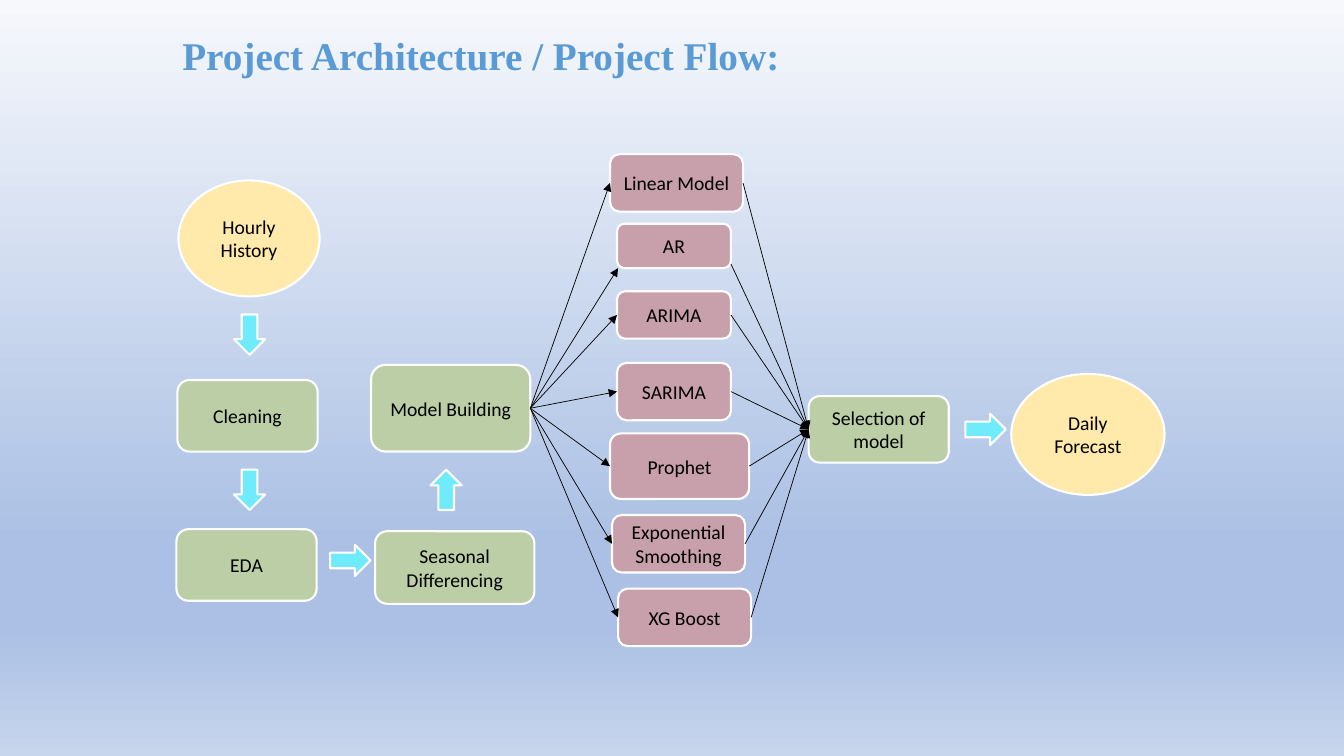
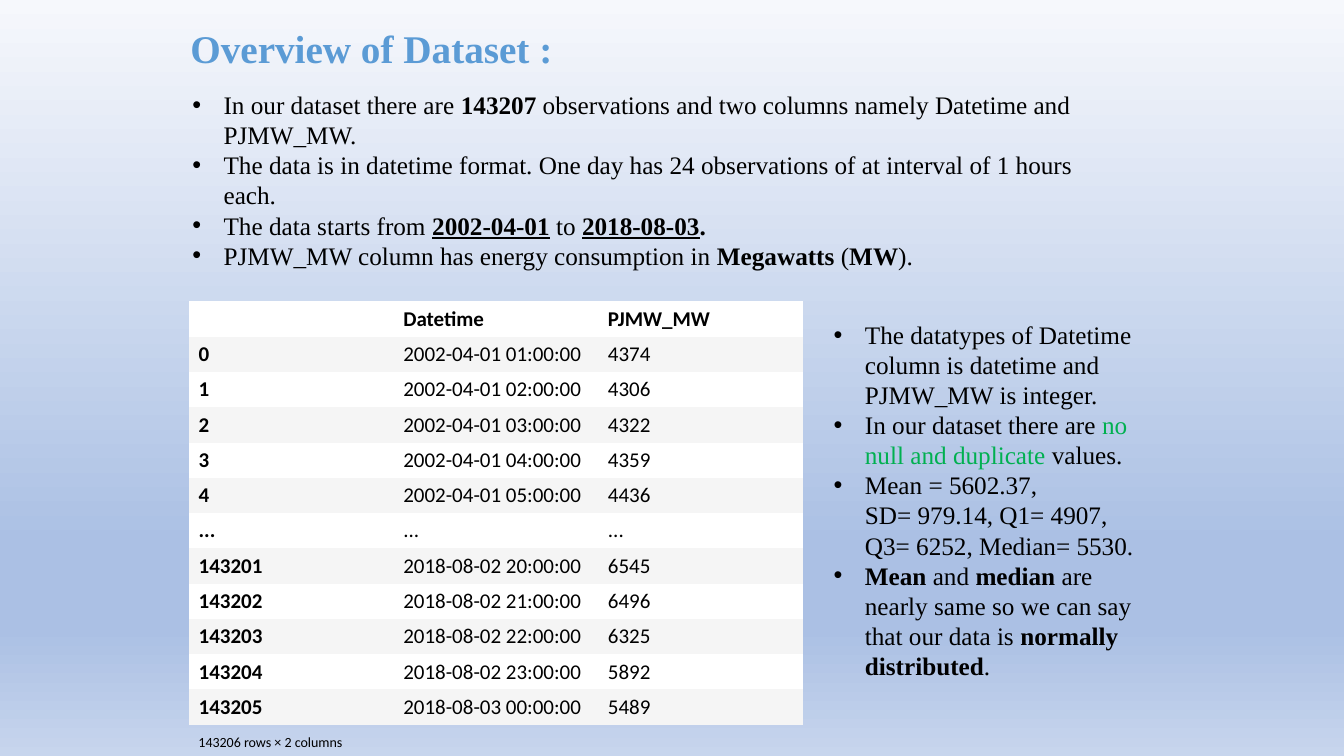
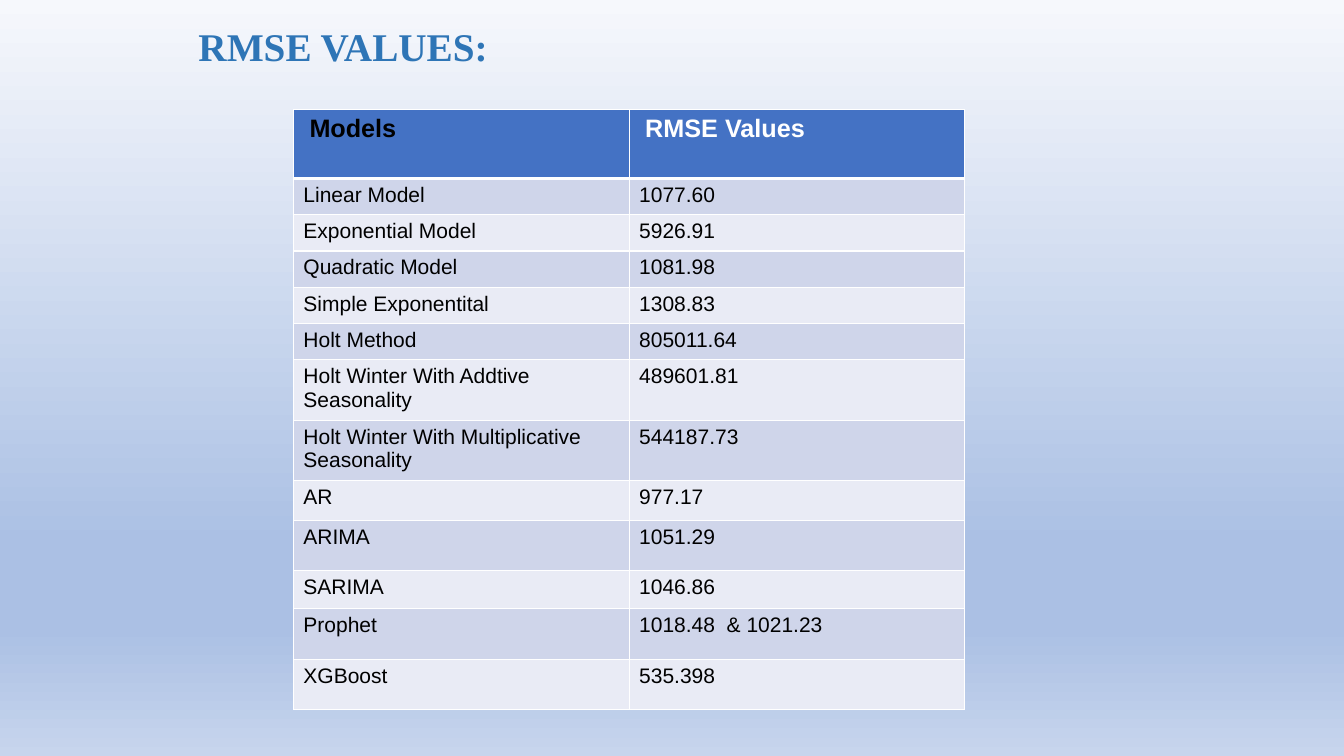
from lxml.etree import SubElement
from pptx import Presentation
from pptx.dml.color import RGBColor
from pptx.enum.shapes import MSO_CONNECTOR, MSO_SHAPE
from pptx.enum.text import MSO_ANCHOR, PP_ALIGN
from pptx.oxml.ns import qn
from pptx.util import Emu, Pt

PX = 9144
SLIDE_SIZE = (1333, 750)
COLORS = {
    "title": "5B9BD5", "title_dark": "2E75B6", "black": "000000", "white": "FFFFFF",
    "green_text": "00B050", "data": "FFE9AB", "step": "BCCEA6", "model": "C8A0AB",
    "arrow": "70EBFC", "stripe": "F5F5F5", "header": "4472C4",
    "band_dark": "CFD5EA", "band_light": "E9EBF5",
}
BACKGROUND_STOPS = [(0, "F6F8FC"), (72, "ABC0E4"), (83, "ABC0E4"), (100, "C7D5ED")]
NO_GRID_STYLE = "{2D5ABB26-0587-4C30-8999-92F81FD0307C}"

TITLE = {"name": "Times New Roman", "size": Pt(28), "bold": True, "color": "title"}
BODY = {"name": "Times New Roman", "size": Pt(18), "color": "black"}
NODE = {"name": "Calibri", "size": Pt(14), "color": "black"}
DATA_CELL = {"name": "Calibri", "size": Pt(15), "color": "black"}
NOTE = {"name": "Calibri", "size": Pt(10), "color": "black"}
SCORE_CELL = {"name": "Arial", "size": Pt(15), "color": "black"}
SCORE_HEADER = {"name": "Arial", "size": Pt(18), "bold": True}
EMPHASIS = {
    "plain": {}, "bold": {"bold": True}, "date": {"bold": True, "underline": True},
    "green": {"color": "green_text"},
}

STEPS = {
    "history": (["Hourly", "History"], "data", (177, 179, 140, 115)),
    "cleaning": (["Cleaning"], "step", (176, 377, 139, 71)),
    "eda": (["EDA"], "step", (175, 525, 139, 71)),
    "differencing": (["Seasonal", "Differencing"], "step", (372, 527, 158, 72)),
    "building": (["Model Building"], "step", (368, 362, 158, 86)),
    "selection": (["Selection of model"], "step", (802, 393, 139, 66)),
    "forecast": (["Daily", "Forecast"], "data", (1003, 371, 152, 120)),
}
MODELS = [
    ("Linear Model", (605, 153, 132, 57)),
    ("AR", (612, 222, 113, 44)),
    ("ARIMA", (612, 289, 113, 47)),
    ("SARIMA", (612, 360, 113, 57)),
    ("Prophet", (605, 430, 138, 65)),
    ("Exponential Smoothing", (607, 511, 132, 57)),
    ("XG Boost", (613, 584, 132, 57)),
]
CORNER_LINKS = {"AR": ((613, 266), (725, 262))}
FLOW_ARROWS = [(232, 312, 0), (232, 466, 0), (332, 536, 270), (427, 466, 180), (962, 406, 270)]
ARROW_SIZE = (31, 40)

DATASET_POINTS = [
    ("•", [("In our dataset there are ", "plain"), ("143207", "bold"),
           (" observations and two columns namely Datetime and PJMW_MW.", "plain")]),
    ("•", [("The data is in datetime format. One day has 24 observations of at interval "
            "of 1 hours each.", "plain")]),
    ("•", [("The data starts from ", "plain"), ("2002-04-01", "date"), (" to ", "plain"),
           ("2018-08-03", "date"), (".", "bold")]),
    ("•", [("PJMW_MW column has energy consumption in ", "plain"), ("Megawatts", "bold"),
           (" (", "plain"), ("MW", "bold"), (").", "plain")]),
]
FINDINGS = [
    ("•", [("The datatypes of Datetime column is datetime and PJMW_MW is integer.", "plain")]),
    ("•", [("In our dataset there are ", "plain"), ("no null and duplicate", "green"),
           (" values.", "plain")]),
    ("•", [("Mean = 5602.37,", "plain")]),
    (None, [("SD= 979.14, Q1= 4907,", "plain")]),
    (None, [("Q3= 6252, Median= 5530.", "plain")]),
    ("•", [("Mean", "bold"), (" and ", "plain"), ("median", "bold"),
           (" are nearly same so we can say that our data is ", "plain"),
           ("normally distributed", "bold"), (".", "plain")]),
]
OBSERVATIONS = [
    ("", "Datetime", "PJMW_MW"),
    ("0", "2002-04-01 01:00:00", "4374"),
    ("1", "2002-04-01 02:00:00", "4306"),
    ("2", "2002-04-01 03:00:00", "4322"),
    ("3", "2002-04-01 04:00:00", "4359"),
    ("4", "2002-04-01 05:00:00", "4436"),
    ("...", "...", "..."),
    ("143201", "2018-08-02 20:00:00", "6545"),
    ("143202", "2018-08-02 21:00:00", "6496"),
    ("143203", "2018-08-02 22:00:00", "6325"),
    ("143204", "2018-08-02 23:00:00", "5892"),
    ("143205", "2018-08-03 00:00:00", "5489"),
]
SCORES = [
    ("Models", "RMSE Values", 68),
    ("Linear Model", "1077.60", 36),
    ("Exponential Model", "5926.91", 36),
    ("Quadratic Model", "1081.98", 36),
    ("Simple Exponentital", "1308.83", 36),
    ("Holt Method", "805011.64", 36),
    ("Holt Winter With Addtive Seasonality", "489601.81", 60),
    ("Holt Winter With Multiplicative Seasonality", "544187.73", 60),
    ("AR", "977.17", 39),
    ("ARIMA", "1051.29", 50),
    ("SARIMA", "1046.86", 38),
    ("Prophet", "1018.48  & 1021.23", 50),
    ("XGBoost", "535.398", 50),
]


def emu(*lengths):
    """Turn px lengths into EMU."""
    return [Emu(length * PX) for length in lengths]


def rgb(name):
    """Look up a named colour."""
    return RGBColor.from_string(COLORS[name])


def set_values(target, values):
    """Set every attribute named in a dict."""
    for name, value in values.items():
        setattr(target, name, value)


def add_run(paragraph, text, style):
    """Add a formatted run to a paragraph."""
    run = paragraph.add_run()
    run.text = text
    set_values(run.font, {key: value for key, value in style.items() if key != "color"})
    run.font.color.rgb = rgb(style["color"])


def write_lines(frame, lines, style, alignment=PP_ALIGN.LEFT):
    """Write each line as one paragraph."""
    for index, line in enumerate(lines):
        paragraph = frame.add_paragraph() if index else frame.paragraphs[0]
        paragraph.alignment = alignment
        if line:
            add_run(paragraph, line, style)
        else:
            paragraph._p.get_or_add_endParaRPr().set("sz", str(int(style["size"].pt * 100)))


def add_text(slide, box, lines, style, **frame_values):
    """Add a text box holding plain lines."""
    frame = slide.shapes.add_textbox(*emu(*box)).text_frame
    set_values(frame, {"word_wrap": True, **frame_values})
    write_lines(frame, lines, style)


def add_points(slide, box, points):
    """Add a text box of bulleted and continued paragraphs."""
    frame = slide.shapes.add_textbox(*emu(*box)).text_frame
    frame.word_wrap = True
    for index, (bullet, runs) in enumerate(points):
        paragraph = frame.add_paragraph() if index else frame.paragraphs[0]
        properties = paragraph._p.get_or_add_pPr()
        properties.set("marL", str(31 * PX))
        properties.set("indent", str(-31 * PX if bullet else 0))
        if bullet:
            color = SubElement(properties, qn("a:buClr"))
            SubElement(color, qn("a:srgbClr"), val=COLORS["black"])
            SubElement(properties, qn("a:buFont"), typeface="Arial")
            SubElement(properties, qn("a:buChar"), char=bullet)
        paragraph.line_spacing = Pt(21.5)
        for text, emphasis in runs:
            add_run(paragraph, text, {**BODY, **EMPHASIS[emphasis]})


def add_figure(slide, preset, box, fill):
    """Add a filled shape with a white outline."""
    shape = slide.shapes.add_shape(preset, *emu(*box))
    shape.shadow.inherit = False
    shape.fill.solid()
    shape.fill.fore_color.rgb = rgb(fill)
    shape.line.color.rgb = rgb("white")
    shape.line.width = Pt(1.5)
    return shape


def add_node(slide, lines, fill, box):
    """Add a labelled node of the flow."""
    preset = MSO_SHAPE.OVAL if fill == "data" else MSO_SHAPE.ROUNDED_RECTANGLE
    shape = add_figure(slide, preset, box, fill)
    set_values(shape.text_frame, {"word_wrap": True, "vertical_anchor": MSO_ANCHOR.MIDDLE})
    write_lines(shape.text_frame, lines, NODE, PP_ALIGN.CENTER)
    return shape


def add_link(slide, start, end, source=None, target=None):
    """Add a thin arrow, joined to the shapes given."""
    connector = slide.shapes.add_connector(MSO_CONNECTOR.STRAIGHT, *emu(*start, *end))
    if source is not None:
        connector.begin_connect(source, 3)
    if target is not None:
        connector.end_connect(target, 1)
    connector.line.color.rgb = rgb("black")
    connector.line.width = Pt(0.5)
    SubElement(connector.line._get_or_add_ln(), qn("a:tailEnd"), type="triangle")
    SubElement(connector._element.spPr, qn("a:effectLst"))


def add_borders(cell, bottom_width):
    """Give a cell white borders."""
    properties = cell._tc.get_or_add_tcPr()
    for side, width in zip("LRTB", (1, 1, 1, bottom_width)):
        line = SubElement(properties, qn(f"a:ln{side}"), w=str(Pt(width)))
        fill = SubElement(line, qn("a:solidFill"))
        SubElement(fill, qn("a:srgbClr"), val=COLORS["white"])


def add_grid(slide, left, top, widths, heights):
    """Add an unstyled table with the given columns and rows."""
    frame = slide.shapes.add_table(
        len(heights), len(widths), *emu(left, top, sum(widths), sum(heights)))
    table = frame.table
    set_values(table, {"first_row": False, "horz_banding": False})
    table._tbl.tblPr.find(qn("a:tableStyleId")).text = NO_GRID_STYLE
    for column, width in zip(table.columns, emu(*widths)):
        column.width = width
    for row, height in zip(table.rows, emu(*heights)):
        row.height = height
    return table


def fill_cell(cell, text, style, fill, **cell_values):
    """Write and colour one table cell."""
    set_values(cell, cell_values)
    cell.fill.solid()
    cell.fill.fore_color.rgb = rgb(fill)
    write_lines(cell.text_frame, [text], style)


def set_background(master):
    """Paint the shared vertical gradient."""
    fill = master.background.fill
    fill.gradient()
    fill.gradient_angle = 270
    stops = master.element.find(".//" + qn("a:gsLst"))
    for stop in list(stops):
        stops.remove(stop)
    for position, color in BACKGROUND_STOPS:
        stop = SubElement(stops, qn("a:gs"), pos=str(position * 1000))
        SubElement(stop, qn("a:srgbClr"), val=color)


def add_slide(presentation, title, box, color="title"):
    """Add a blank slide with a title."""
    slide = presentation.slides.add_slide(presentation.slide_layouts[6])
    add_text(slide, box, [title], {**TITLE, "color": color})
    return slide


def build_flow(presentation):
    """Build the project flow slide."""
    slide = add_slide(presentation, "Project Architecture / Project Flow:", (171, 26, 671, 57))
    nodes = {name: add_node(slide, *step) for name, step in STEPS.items()}
    for left, top, rotation in FLOW_ARROWS:
        arrow = add_figure(slide, MSO_SHAPE.DOWN_ARROW, (left, top, *ARROW_SIZE), "arrow")
        arrow.rotation = rotation
    for name, box in MODELS:
        model = add_node(slide, [name], "model", box)
        joined = None if name in CORNER_LINKS else model
        entry, leave = CORNER_LINKS.get(name, ((0, 0), (0, 0)))
        add_link(slide, (0, 0), entry, nodes["building"], joined)
        add_link(slide, leave, (0, 0), joined, nodes["selection"])


def build_dataset(presentation):
    """Build the dataset overview slide."""
    slide = add_slide(presentation, "Overview of Dataset :", (179, 19, 420, 57))
    add_points(slide, (181, 84, 924, 192), DATASET_POINTS)
    table = add_grid(slide, 187, 299, [203] * 3, [35] * len(OBSERVATIONS))
    for row, values in enumerate(OBSERVATIONS):
        for column, text in enumerate(values):
            style = {**DATA_CELL, "bold": row == 0 or column == 0}
            fill_cell(table.cell(row, column), text, style, "stripe" if row % 2 else "white",
                      vertical_anchor=MSO_ANCHOR.MIDDLE,
                      margin_top=Emu(4 * PX), margin_bottom=Emu(4 * PX))
    add_text(slide, (187, 723, 167, 27), ["143206 rows × 2 columns"], NOTE,
             word_wrap=False, vertical_anchor=MSO_ANCHOR.MIDDLE)
    add_points(slide, (817, 312, 329, 374), FINDINGS)


def build_scores(presentation):
    """Build the RMSE table slide."""
    slide = add_slide(presentation, "RMSE VALUES:", (187, 17, 721, 57), "title_dark")
    table = add_grid(slide, 291, 109, [333] * 2, [height for *_, height in SCORES])
    for row, (*values, _) in enumerate(SCORES):
        for column, text in enumerate(values):
            cell = table.cell(row, column)
            add_borders(cell, 1 if row else 3)
            if row:
                fill_cell(cell, text, SCORE_CELL, "band_dark" if row % 2 else "band_light")
            else:
                style = {**SCORE_HEADER, "color": "white" if column else "black"}
                fill_cell(cell, text, style, "header", margin_left=Emu(16 * PX))


def main():
    """Build and save the presentation."""
    presentation = Presentation()
    presentation.slide_width, presentation.slide_height = emu(*SLIDE_SIZE)
    set_background(presentation.slide_master)
    build_flow(presentation)
    build_dataset(presentation)
    build_scores(presentation)
    presentation.save("out.pptx")


if __name__ == "__main__":
    main()
